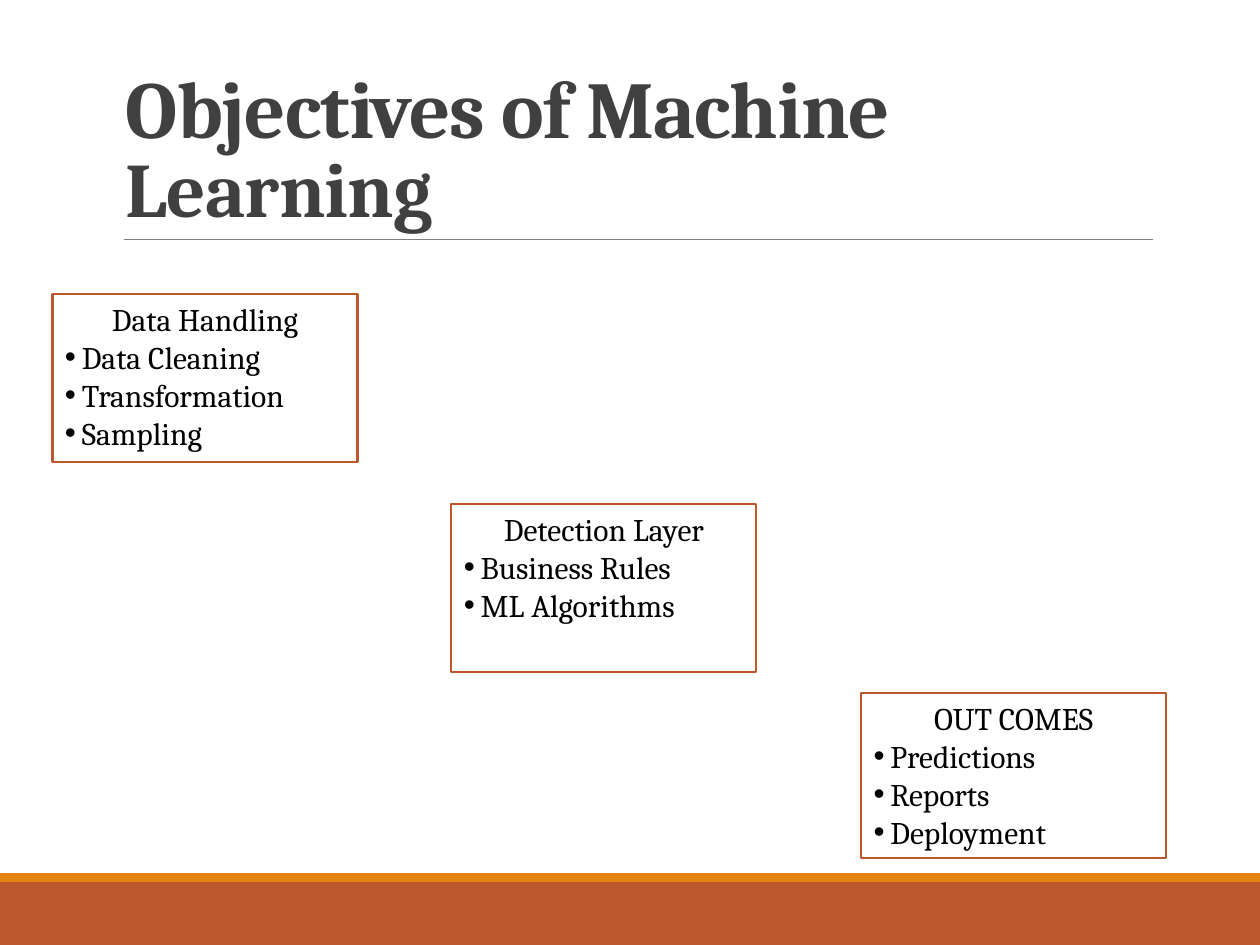
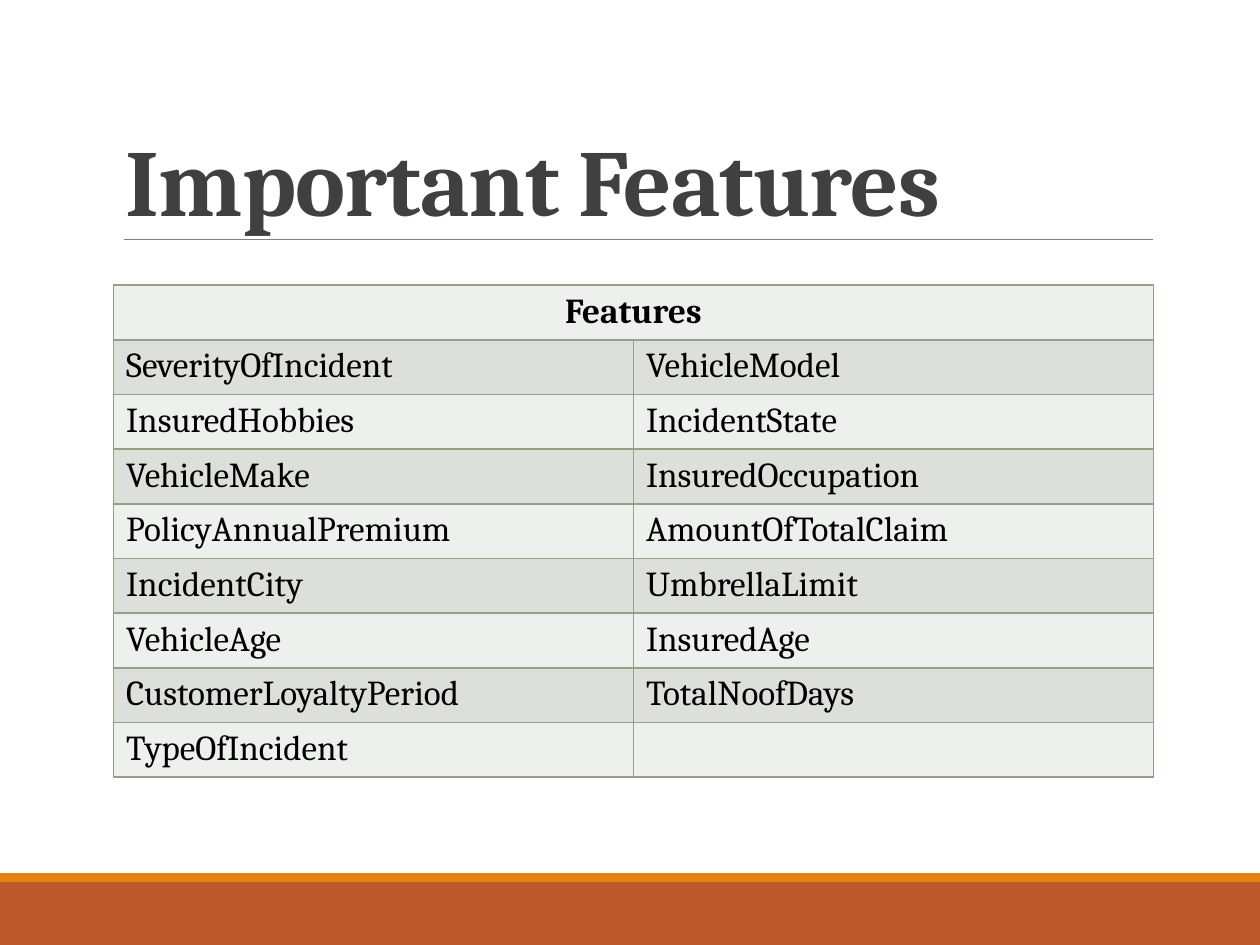
from pptx import Presentation
from pptx.dml.color import RGBColor
from pptx.enum.shapes import MSO_CONNECTOR, MSO_SHAPE
from pptx.enum.text import MSO_ANCHOR, PP_ALIGN
from pptx.oxml.ns import qn
from pptx.util import Cm, Pt
from lxml.etree import SubElement as Sub

# Shared look
FONT = "Cambria"
RUST = RGBColor(0xBD, 0x58, 0x2C)
ORANGE = RGBColor(0xE4, 0x83, 0x12)
GREY = RGBColor(0x80, 0x80, 0x80)
DARK = RGBColor(0x40, 0x40, 0x40)
BLACK = RGBColor(0, 0, 0)
WHITE = RGBColor(0xFF, 0xFF, 0xFF)
SAGE = RGBColor(0x94, 0xA0, 0x88)
ROW_FILLS = (RGBColor(0xEE, 0xF0, 0xED), RGBColor(0xDC, 0xDF, 0xDA))

WIDTH, HEIGHT = Cm(25.4), Cm(19.05)
LEFT, CONTENT_W = Cm(2.29), Cm(20.96)
BOX_W = Cm(6.15)
BULLET_INDENT = Cm(0.34)

# Slide content
STAGES = [  # heading, bullets, left, top, height in cm
    ("Data Handling", ["Data Cleaning", "Transformation", "Sampling"], 1.06, 5.93, 3.39),
    ("Detection Layer", ["Business Rules", "ML Algorithms"], 9.1, 10.16, 3.39),
    ("OUT COMES", ["Predictions", "Reports", "Deployment"], 17.36, 13.97, 3.33),
]
FEATURES = [
    ("SeverityOfIncident", "VehicleModel"),
    ("InsuredHobbies", "IncidentState"),
    ("VehicleMake", "InsuredOccupation"),
    ("PolicyAnnualPremium", "AmountOfTotalClaim"),
    ("IncidentCity", "UmbrellaLimit"),
    ("VehicleAge", "InsuredAge"),
    ("CustomerLoyaltyPeriod", "TotalNoofDays"),
    ("TypeOfIncident", ""),
]


def add_run(p, text, size, color=BLACK, bold=False):
    r = p.add_run()
    r.text = text
    r.font.name = FONT
    r.font.size = Pt(size)
    r.font.bold = bold
    r.font.color.rgb = color
    return r


def add_rect(s, left, top, width, height, fill, line=None):
    sp = s.shapes.add_shape(MSO_SHAPE.RECTANGLE, left, top, width, height)
    sp.shadow.inherit = False
    sp.fill.solid()
    sp.fill.fore_color.rgb = fill
    if line is None:
        sp.line.fill.background()
    else:
        sp.line.color.rgb = line
        sp.line.width = Pt(1.25)
    return sp


def add_frame(s):
    """Footer bands and the rule under the title."""
    add_rect(s, 0, Cm(17.78), WIDTH, Cm(1.27), RUST)
    add_rect(s, 0, Cm(17.6), WIDTH, Cm(0.18), ORANGE)
    rule = s.shapes.add_connector(MSO_CONNECTOR.STRAIGHT, Cm(2.49), Cm(4.83), Cm(23.24), Cm(4.83))
    rule.line.color.rgb = GREY
    rule.line.width = Pt(0.5)
    Sub(rule._element.spPr, qn("a:effectLst"))


def add_title(s, top, runs):
    tf = s.shapes.add_textbox(LEFT, top, CONTENT_W, Cm(4.04)).text_frame
    tf.word_wrap = True
    tf.vertical_anchor = MSO_ANCHOR.BOTTOM
    p = tf.paragraphs[0]
    p.line_spacing = 0.85
    for text, size in runs:
        r = add_run(p, text, size, DARK, bold=True)
        r.font._element.set("spc", "-50")


def set_bullet(p):
    pPr = p._p.get_or_add_pPr()
    pPr.set("marL", str(BULLET_INDENT))
    pPr.set("indent", str(-BULLET_INDENT))
    Sub(pPr, qn("a:buFont"), typeface="Arial")
    Sub(pPr, qn("a:buChar"), char="•")


def add_stage(s, heading, bullets, left, top, height):
    sp = add_rect(s, Cm(left), Cm(top), BOX_W, Cm(height), WHITE, RUST)
    tf = sp.text_frame
    tf.word_wrap = True
    tf.vertical_anchor = MSO_ANCHOR.TOP
    p = tf.paragraphs[0]
    p.alignment = PP_ALIGN.CENTER
    add_run(p, heading, 18)
    for text in bullets:
        p = tf.add_paragraph()
        p.alignment = PP_ALIGN.LEFT
        set_bullet(p)
        add_run(p, text, 18)


def style_cell(cell, fill):
    tcPr = cell._tc.get_or_add_tcPr()
    for side in ("lnL", "lnR", "lnT", "lnB"):
        ln = Sub(tcPr, qn(f"a:{side}"), w=str(Pt(1)))
        Sub(Sub(ln, qn("a:solidFill")), qn("a:srgbClr"), val=str(SAGE))
    cell.fill.solid()
    cell.fill.fore_color.rgb = fill


def add_feature_table(s, heading, rows):
    count, row_h = len(rows) + 1, Cm(1.07)
    table = s.shapes.add_table(count, 2, LEFT, Cm(5.75), CONTENT_W, row_h * count).table
    for i, texts in enumerate([(heading, "")] + rows):
        table.rows[i].height = row_h
        for cell, text in zip(table.rows[i].cells, texts):
            style_cell(cell, ROW_FILLS[i % 2])
            p = cell.text_frame.paragraphs[0]
            if text:
                add_run(p, text, 20, bold=i == 0)
            else:
                p.font.size = Pt(20)
    header = table.cell(0, 0)
    header.merge(table.cell(0, 1))
    header.text_frame.paragraphs[0].alignment = PP_ALIGN.CENTER


def add_slide(prs, title_top, title_runs):
    s = prs.slides.add_slide(prs.slide_layouts[6])
    add_frame(s)
    add_title(s, title_top, title_runs)
    return s


def main():
    prs = Presentation()
    prs.slide_width, prs.slide_height = WIDTH, HEIGHT

    # Objectives
    s = add_slide(prs, Cm(0.79), [("Objectives of Machine ", 46), ("Learning", 44)])
    for stage in STAGES:
        add_stage(s, *stage)

    # Features
    s = add_slide(prs, Cm(0.84), [("Important Features", 54)])
    add_feature_table(s, "Features", FEATURES)

    prs.save("out.pptx")


if __name__ == "__main__":
    main()
